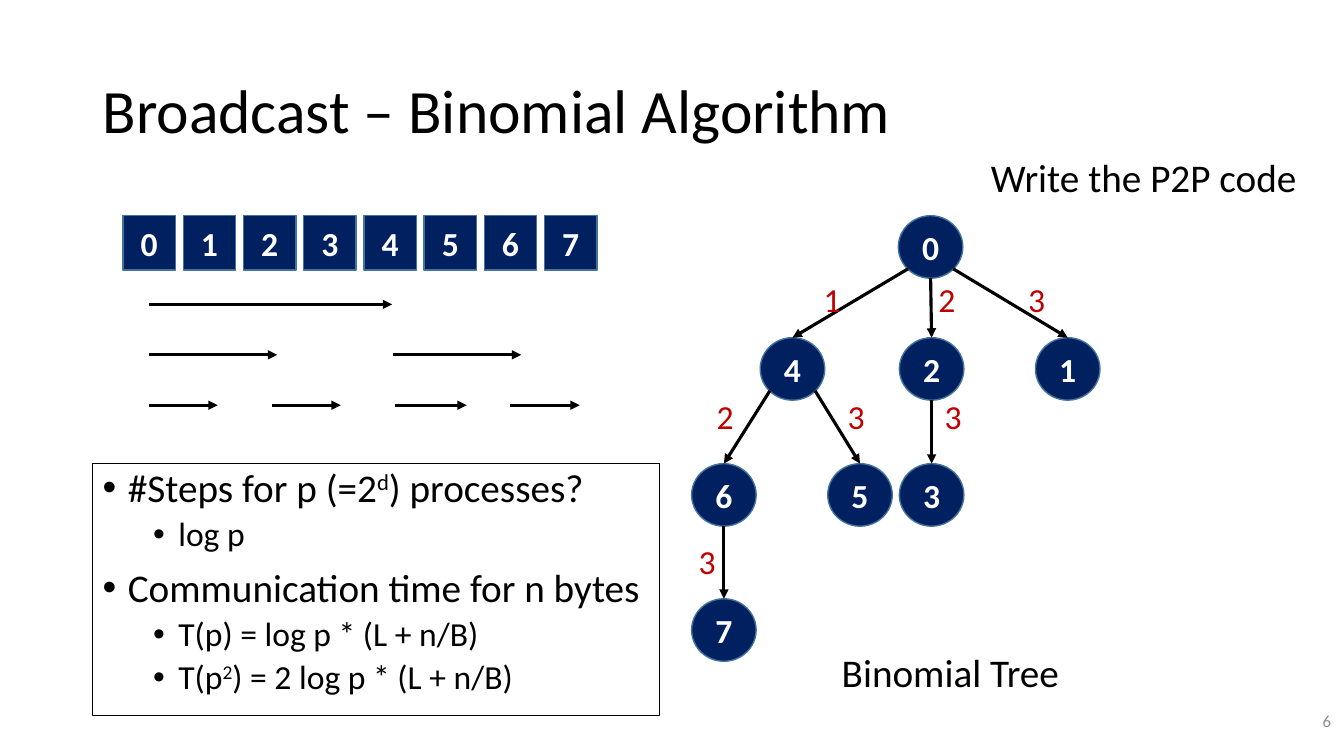
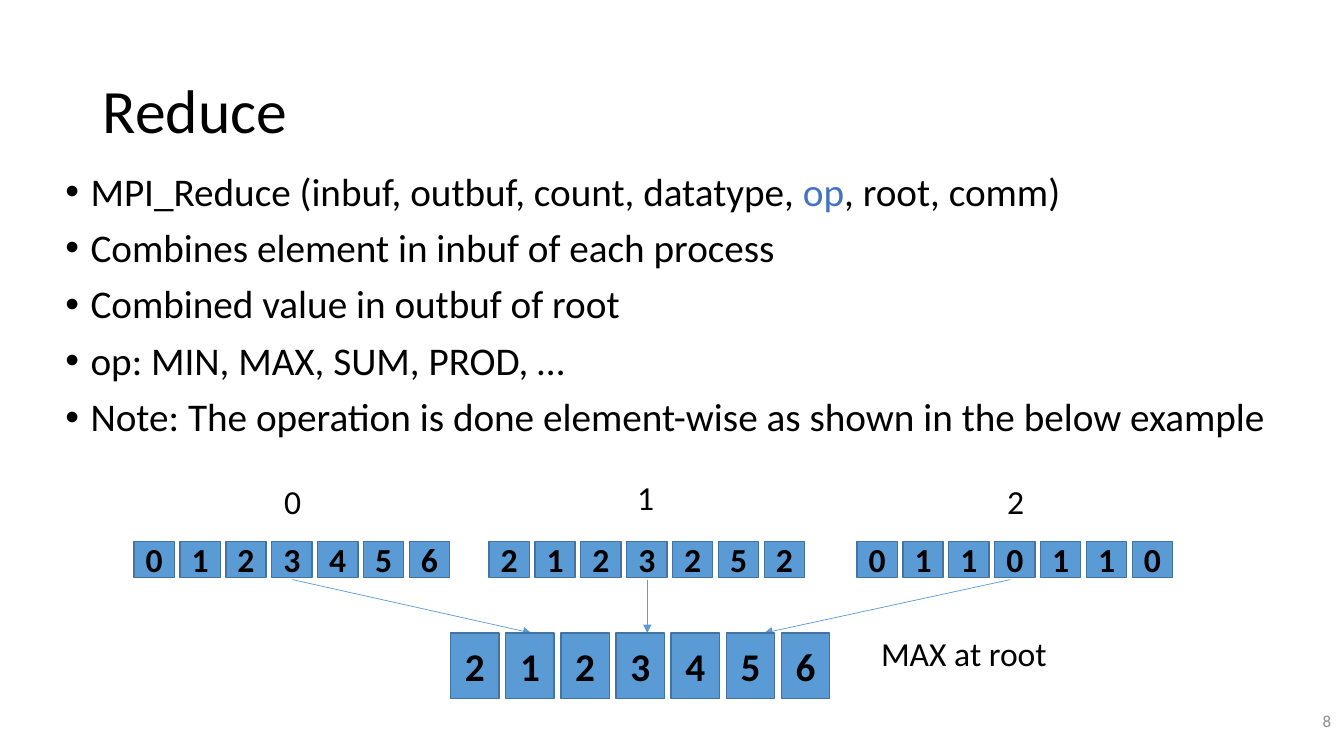
from collections import namedtuple
from dataclasses import dataclass

from lxml.etree import SubElement
from pptx import Presentation
from pptx.dml.color import RGBColor
from pptx.enum.shapes import MSO_CONNECTOR, MSO_SHAPE
from pptx.enum.text import MSO_ANCHOR, MSO_AUTO_SIZE, PP_ALIGN
from pptx.oxml.ns import qn
from pptx.util import Pt

PX = 9144  # EMU per px, 100 px to the inch
Box = namedtuple("Box", "left top width height")


@dataclass(frozen=True)
class Theme:
    font: str = "Calibri"
    ink: str = "000000"
    paper: str = "FFFFFF"
    navy: str = "002060"
    blue: str = "5B9BD5"
    outline: str = "43739E"
    step: str = "C00000"
    accent: str = "4472C4"
    muted: str = "8C8C8C"
    title: int = 44
    body: int = 28
    label: int = 24
    footer: int = 12


THEME = Theme()


def px(*lengths):
    return [round(length * PX) for length in lengths]


def color(value):
    return RGBColor.from_string(value)


def add_span(para, text, size, ink=THEME.ink, bold=False, raised=False):
    span = para.add_run()
    span.text = text
    span.font.name = THEME.font
    span.font.size = Pt(size)
    span.font.bold = bold
    span.font.color.rgb = color(ink)
    if raised:
        span._r.get_or_add_rPr().set("baseline", "30000")


def add_text(page, box, text, size, ink=THEME.ink, align=PP_ALIGN.LEFT,
             anchor=MSO_ANCHOR.TOP, wrap=True, fit=True):
    shape = page.shapes.add_textbox(*px(*box))
    frame = shape.text_frame
    frame.word_wrap = wrap
    frame.vertical_anchor = anchor
    if fit:
        frame.auto_size = MSO_AUTO_SIZE.SHAPE_TO_FIT_TEXT
    para = frame.paragraphs[0]
    para.alignment = align
    add_span(para, text, size, ink)
    return para


def add_node(page, kind, box, text, fill, ink, size=THEME.label):
    shape = page.shapes.add_shape(kind, *px(*box))
    shape.shadow.inherit = False
    shape.fill.solid()
    shape.fill.fore_color.rgb = color(fill)
    shape.line.color.rgb = color(THEME.outline)
    shape.line.width = Pt(1)
    frame = shape.text_frame
    frame.vertical_anchor = MSO_ANCHOR.MIDDLE
    para = frame.paragraphs[0]
    para.alignment = PP_ALIGN.CENTER
    add_span(para, text, size, ink, bold=True)


def add_arrow(page, start, end, ink=THEME.ink, weight=2.25):
    arrow = page.shapes.add_connector(MSO_CONNECTOR.STRAIGHT, *px(*start, *end))
    arrow.line.color.rgb = color(ink)
    arrow.line.width = Pt(weight)
    SubElement(arrow.line._get_or_add_ln(), qn("a:tailEnd"), type="triangle")
    SubElement(arrow._element.spPr, qn("a:effectLst"))


def add_cells(page, box, cell_width, values, fill, ink, size=THEME.label):
    """Spread one cell per value evenly from edge to edge of the box."""
    pitch = (box.width - cell_width) / (len(values) - 1)
    for index, value in enumerate(values):
        cell = Box(box.left + index * pitch, box.top, cell_width, box.height)
        add_node(page, MSO_SHAPE.RECTANGLE, cell, value, fill, ink, size)


def add_bullets(page, box, items, framed=False):
    """Each item is (level, spans); a span is text and its add_span options."""
    shape = page.shapes.add_textbox(*px(*box))
    if framed:
        shape.line.color.rgb = color(THEME.ink)
        shape.line.width = Pt(0.75)
    frame = shape.text_frame
    frame.word_wrap = True
    for index, (level, spans) in enumerate(items):
        para = frame.paragraphs[0] if index == 0 else frame.add_paragraph()
        para.level = level
        para.line_spacing = 0.9
        para.space_before = Pt(5 if level else 10)
        properties = para._p.get_or_add_pPr()
        margin, hanging = px(25 + 50 * level, -25)
        properties.set("marL", str(margin))
        properties.set("indent", str(hanging))
        SubElement(properties, qn("a:buFont"), typeface="Arial")
        SubElement(properties, qn("a:buChar"), char="•")
        for text, options in spans:
            add_span(para, text, THEME.label if level else THEME.body, **options)


def add_page(deck, title, number):
    page = deck.slides.add_slide(deck.slide_layouts[6])
    para = add_text(page, Box(92, 40, 1150, 145), title, THEME.title,
                    anchor=MSO_ANCHOR.MIDDLE, fit=False)
    para.line_spacing = 0.9
    add_text(page, Box(1030, 695, 300, 40), str(number), THEME.footer,
             THEME.muted, PP_ALIGN.RIGHT, MSO_ANCHOR.MIDDLE, fit=False)
    return page


def add_tree(page, box):
    width, height = 64, 62
    nodes = {"0": (205, 0), "4": (68, 121), "2": (206, 121), "1": (341, 121),
             "6": (0, 246), "5": (135, 246), "3": (206, 246), "7": (0, 380)}
    # parent, child, step, place of the step label
    edges = [("0", "4", "1", (121, 58)), ("0", "2", "2", (235, 58)),
             ("0", "1", "3", (324, 58)), ("4", "6", "2", (15, 174)),
             ("4", "5", "3", (145, 174)), ("2", "3", "3", (241, 174)),
             ("6", "7", "3", (-3, 318))]
    for name, (x, y) in nodes.items():
        add_node(page, MSO_SHAPE.OVAL,
                 Box(box.left + x, box.top + y, width, height),
                 name, THEME.navy, THEME.paper)
    for parent, child, step, (label_x, label_y) in edges:
        (x, y), (child_x, child_y) = nodes[parent], nodes[child]
        side = 0 if abs(child_x - x) < 5 else (1 if child_x > x else -1)
        start_x = x + width * (0.5 + 0.35 * side)
        start_y = y + height * (0.85 if side else 1)
        add_arrow(page, (box.left + start_x, box.top + start_y),
                  (box.left + child_x + width / 2, box.top + child_y))
        add_text(page, Box(box.left + label_x, box.top + label_y, 37, 50),
                 step, THEME.label, THEME.step, wrap=False)
    add_text(page, Box(box.left + 139, box.top + 424, 238, 57),
             "Binomial Tree", THEME.body, wrap=False)


def add_rounds(page, box):
    """Process row with the messages sent in each round below it."""
    add_cells(page, Box(box.left, box.top, box.width, 54), 52, "01234567",
              THEME.navy, THEME.paper)
    rounds = [[(26, 241)], [(26, 127), (268, 127)],
              [(26, 68), (148, 68), (270, 71), (384, 69)]]
    for index, messages in enumerate(rounds):
        y = box.top + 88 + 50 * index
        for x, length in messages:
            start = box.left + x
            add_arrow(page, (start, y), (start + length, y))


def add_reduction(page, box):
    """Input buffers of three processes, reduced to one row at the root."""
    # rank, values, row left, label place, arrow from and to
    inputs = [("0", "0123456", 0, (139, 4), 157, 394),
              ("1", "2123252", 352, (489, 0), 509, 509),
              ("2", "0110110", 717, (856, 4), 869, 625)]
    for rank, values, left, (label_x, label_y), start, end in inputs:
        add_text(page, Box(box.left + label_x, box.top + label_y, 43, 50),
                 rank, THEME.label)
        add_cells(page, Box(box.left + left, box.top + 69, 313, 36), 40,
                  values, THEME.blue, THEME.ink)
        add_arrow(page, (box.left + start, box.top + 107),
                  (box.left + end, box.top + 160), THEME.blue, 0.5)
    add_cells(page, Box(box.left + 314, box.top + 160, 376, 65), 48,
              "2123456", THEME.blue, THEME.ink, THEME.body)
    add_text(page, Box(box.left + 731, box.top + 155, 204, 50),
             "MAX at root", THEME.label)


def build_broadcast(deck):
    page = add_page(deck, "Broadcast – Binomial Algorithm", 6)
    raised = {"raised": True}
    add_bullets(page, Box(92, 460, 562, 250), [
        (0, [("#Steps for p (=2", {}), ("d", raised), (") processes?", {})]),
        (1, [("log p", {})]),
        (0, [("Communication time for n bytes", {})]),
        (1, [("T(p) = log p * (L + n/B)", {})]),
        (1, [("T(p", {}), ("2", raised), (") = 2 log p * (L + n/B)", {})]),
    ], framed=True)
    add_tree(page, Box(686, 214, 405, 481))
    add_rounds(page, Box(122, 214, 470, 188))
    add_text(page, Box(973, 147, 327, 57), "Write the P2P code", THEME.body,
             wrap=False)


def build_reduce(deck):
    page = add_page(deck, "Reduce", 8)
    add_bullets(page, Box(55, 166, 1239, 295), [
        (0, [("MPI_Reduce (inbuf, outbuf, count, datatype, ", {}),
             ("op", {"ink": THEME.accent}), (", root, comm)", {})]),
        (0, [("Combines element in inbuf of each process", {})]),
        (0, [("Combined value in outbuf of root", {})]),
        (0, [("op: MIN, MAX, SUM, PROD, …", {})]),
        (0, [("Note: The operation is done element-wise as shown in the "
              "below example", {})]),
    ])
    add_reduction(page, Box(133, 468, 1030, 225))


def main():
    deck = Presentation()
    deck.slide_width, deck.slide_height = px(1333, 750)
    build_broadcast(deck)
    build_reduce(deck)
    deck.save("out.pptx")


if __name__ == "__main__":
    main()
